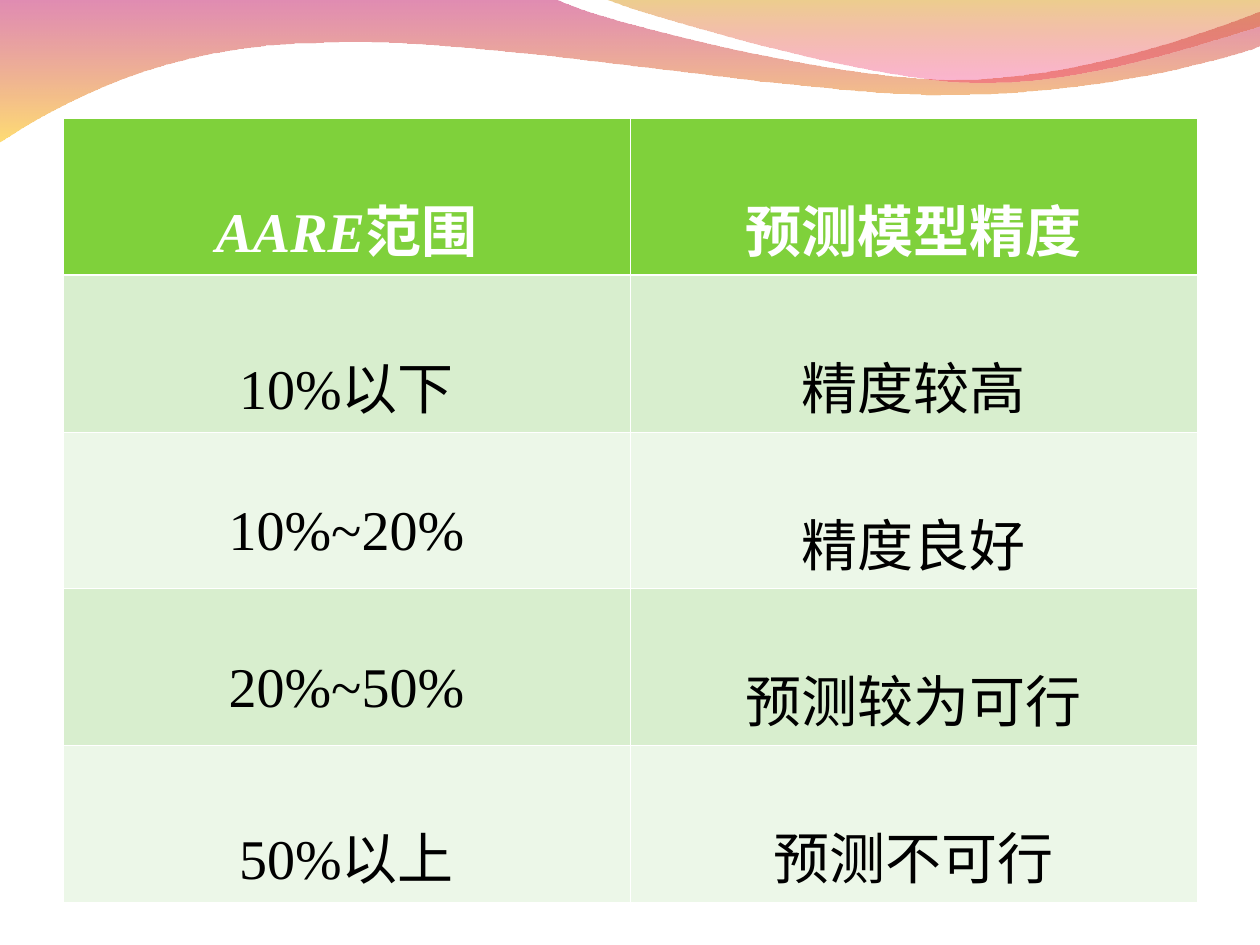
"""Build a slide with the AARE accuracy table under two gradient waves."""
from lxml import etree
from pptx import Presentation, util as u
from pptx.dml.color import RGBColor
from pptx.enum import text
from pptx.oxml import ns

WIDTH, HEIGHT = 10, 7.5
FONT, SIZE = "Times New Roman", 32
HEADER = [[("AARE", True), ("范围", False)], [("预测模型精度", False)]]
LEVELS = [
    ("10%以下", "精度较高"),
    ("10%~20%", "精度良好"),
    ("20%~50%", "预测较为可行"),
    ("50%以上", "预测不可行"),
]
ROWS = [HEADER] + [[[(words, False)] for words in level] for level in LEVELS]
HEADER_FILL, BAND_FILLS = "7FD13B", ("D8EECE", "ECF7E8")
WHITE, BLACK = "FFFFFF", "000000"
TABLE_LEFT, TABLE_TOP, ROW_HEIGHT = 0.05 * WIDTH, 0.94, 1.17
TOP_INSET = 39.5
THIN, THICK = 0.45, 1.47

WAVES = [
    {
        "outline": [
            [(0, -0.01)],
            [(4.4, -0.01)],
            [(4.76, 0.17), (6.64, 0.63), (7.58, 0.63)],
            [(8.53, 0.63), (9.58, 0.26), (10, 0.09)],
            [(10.01, 0.36)],
            [(9.83, 0.44), (8.7, 0.76), (7.46, 0.75)],
            [(6.22, 0.75), (3.82, 0.28), (2.57, 0.34)],
            [(1.29, 0.35), (0.46, 0.83), (-0.01, 1.13)],
        ],
        "depth": 1.14,
        "stops": [(0, "BC0057", 45), (100, "FFC000", 55)],
    },
    {
        "outline": [
            [(4.79, -0.01)],
            [(5.09, 0.11), (6.82, 0.62), (7.69, 0.65)],
            [(8.56, 0.69), (9.61, 0.32), (10, 0.21)],
            [(10, 0)],
        ],
        "depth": 0.7,
        "stops": [(0, "D69200", 45), (100, "F40069", 30)],
    },
]


def color(value):
    return RGBColor.from_string(value)


def add_element(parent, tag, **attributes):
    values = {key: str(value) for key, value in attributes.items()}
    return etree.SubElement(parent, ns.qn(tag), values)


def bend_sides(wave, outline):
    sides = list(wave.element.iter(ns.qn("a:lnTo")))
    for side, segment in zip(sides, outline[1:]):
        if len(segment) == 3:
            bend = etree.Element(ns.qn("a:cubicBezTo"))
            for x, y in segment:
                add_element(bend, "a:pt", x=u.Inches(x) - wave.left, y=u.Inches(y) - wave.top)
            side.getparent().replace(side, bend)


def paint_gradient(wave, stops):
    wave.fill.gradient()
    gradient = wave.element.spPr.find(ns.qn("a:gradFill"))
    for child in list(gradient):
        gradient.remove(child)
    stop_list = add_element(gradient, "a:gsLst")
    for position, value, opacity in stops:
        stop = add_element(stop_list, "a:gs", pos=position * 1000)
        tint = add_element(stop, "a:srgbClr", val=value)
        add_element(tint, "a:alpha", val=opacity * 1000)
    add_element(gradient, "a:lin", ang=90 * 60000, scaled=0)


def add_wave(slide, outline, depth, stops):
    corners = [tuple(map(u.Inches, segment[-1])) for segment in outline]
    builder = slide.shapes.build_freeform(*corners[0])
    builder.add_line_segments(corners[1:], close=True)
    wave = builder.convert_to_shape()
    bend_sides(wave, outline)
    wave.height = u.Inches(depth)
    next(wave.element.iter(ns.qn("a:path"))).set("h", str(wave.height))
    wave.shadow.inherit = False
    wave.line.fill.background()
    paint_gradient(wave, stops)


def set_borders(cell, row):
    properties = cell._tc.get_or_add_tcPr()
    widths = {"L": THIN, "R": THIN, "T": THICK if row == 1 else THIN, "B": THICK if row == 0 else THIN}
    for side, width in widths.items():
        line = add_element(properties, f"a:ln{side}", w=u.Pt(width))
        add_element(add_element(line, "a:solidFill"), "a:srgbClr", val=WHITE)


def fill_cell(cell, row, runs):
    is_header = row == 0
    set_borders(cell, row)
    cell.fill.solid()
    cell.fill.fore_color.rgb = color(HEADER_FILL if is_header else BAND_FILLS[(row - 1) % 2])
    cell.margin_left = cell.margin_right = u.Inches(0.1)
    cell.margin_top, cell.margin_bottom = u.Pt(TOP_INSET), u.Inches(0.05)
    paragraph = cell.text_frame.paragraphs[0]
    paragraph.alignment = text.PP_ALIGN.CENTER
    for words, italic in runs:
        run = paragraph.add_run()
        run.text = words
        run.font.name, run.font.size = FONT, u.Pt(SIZE)
        run.font.bold, run.font.italic = is_header, italic
        run.font.color.rgb = color(WHITE if is_header else BLACK)


def add_accuracy_table(slide):
    box = (TABLE_LEFT, TABLE_TOP, WIDTH - 2 * TABLE_LEFT, ROW_HEIGHT * len(ROWS))
    table = slide.shapes.add_table(len(ROWS), len(HEADER), *map(u.Inches, box)).table
    for row, cells in enumerate(ROWS):
        for column, runs in enumerate(cells):
            fill_cell(table.cell(row, column), row, runs)


def main():
    deck = Presentation()
    deck.slide_width, deck.slide_height = u.Inches(WIDTH), u.Inches(HEIGHT)
    slide = deck.slides.add_slide(deck.slide_layouts[6])
    for wave in WAVES:
        add_wave(slide, **wave)
    add_accuracy_table(slide)
    deck.save("out.pptx")


if __name__ == "__main__":
    main()
